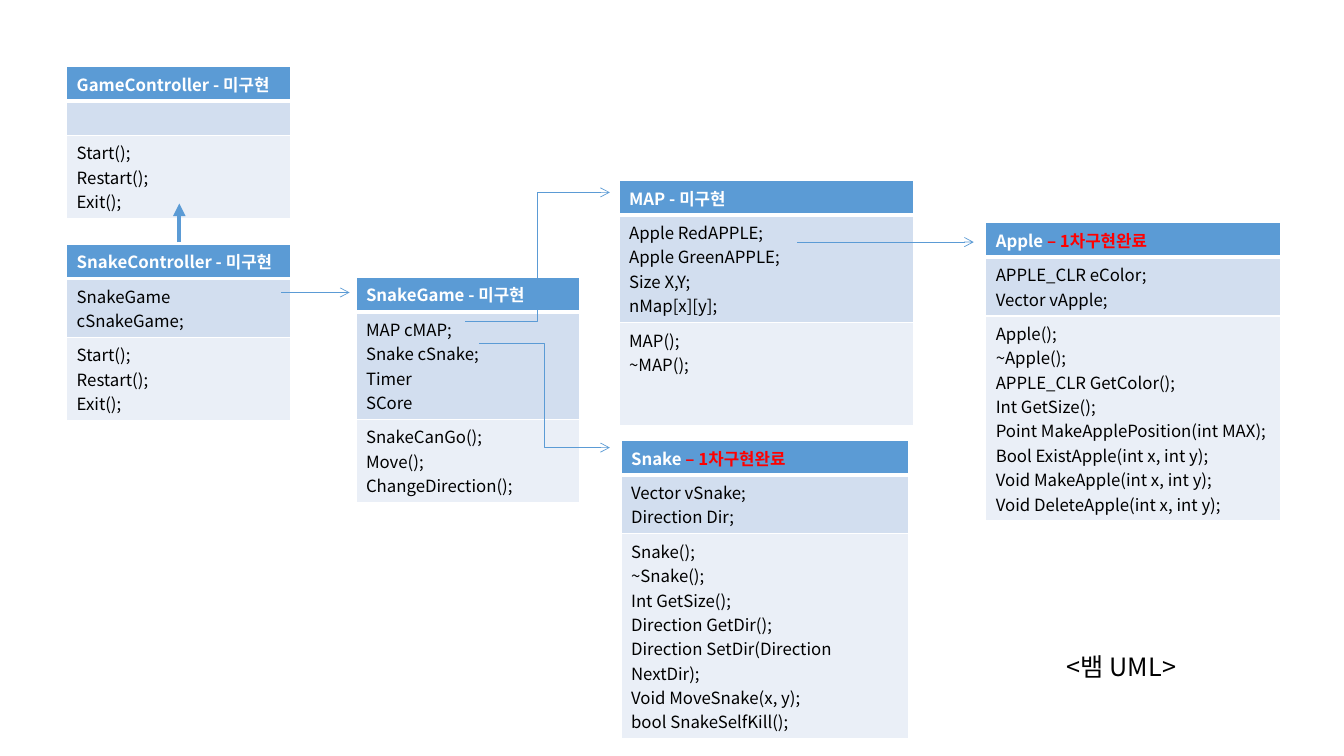
from lxml import etree
from pptx import Presentation
from pptx.dml.color import RGBColor
from pptx.enum.shapes import MSO_CONNECTOR
from pptx.oxml.ns import qn
from pptx.util import Cm, Pt

STRAIGHT = MSO_CONNECTOR.STRAIGHT
ELBOW = MSO_CONNECTOR.ELBOW
FONT = "Noto Sans CJK KR"
BLUE = RGBColor(0x5B, 0x9B, 0xD5)
PALE = RGBColor(0xD2, 0xDE, 0xEF)
PALER = RGBColor(0xEA, 0xEF, 0xF7)
WHITE = RGBColor(0xFF, 0xFF, 0xFF)
BLACK = RGBColor(0, 0, 0)
RED = RGBColor(0xFF, 0, 0)

TODO = [" - 미구현", WHITE]
DONE = [" – 1차구현완료", RED]
CONTROL = ["Start();", "Restart();", "Exit();"]

CLASSES = [
    ("Snake", DONE, 15.65, 11.1, 7.24, 0,
     ["Vector vSnake;", "Direction Dir;"],
     ["Snake();", "~Snake();", "Int GetSize();", "Direction GetDir();",
      "Direction SetDir(Direction NextDir);", "Void MoveSnake(x, y);",
      "bool SnakeSelfKill();"]),
    ("Apple", DONE, 24.84, 5.61, 7.42, 0,
     ["APPLE_CLR eColor;", "Vector vApple;"],
     ["Apple();", "~Apple();", "APPLE_CLR GetColor();", "Int GetSize();",
      "Point MakeApplePosition(int MAX);", "Bool ExistApple(int x, int y);",
      "Void MakeApple(int x, int y);", "Void DeleteApple(int x, int y);"]),
    ("MAP", TODO, 15.6, 4.55, 7.42, 2.59,
     ["Apple RedAPPLE;", "Apple GreenAPPLE;", "Size X,Y;", "nMap[x][y];"],
     ["MAP();", "~MAP();"]),
    ("GameController", TODO, 1.68, 1.68, 5.64, 0, [], CONTROL),
    ("SnakeController", TODO, 1.68, 6.15, 5.64, 0,
     ["SnakeGame cSnakeGame;"], CONTROL),
    ("SnakeGame", TODO, 8.97, 6.99, 5.64, 0,
     ["MAP cMAP;", "Snake cSnake;", "Timer", "SCore"],
     ["SnakeCanGo();", "Move();", "ChangeDirection();"]),
]

ARROWS = [
    (STRAIGHT, 4.52, 6.1, 4.52, 5.13, 3, "triangle"),
    (STRAIGHT, 7.09, 7.37, 8.81, 7.37, 0.5, "arrow"),
    (ELBOW, 11.73, 8.1, 15.37, 4.85, 0.5, "arrow"),
    (ELBOW, 12.07, 8.66, 15.37, 11.28, 0.5, "arrow"),
    (STRAIGHT, 20.09, 6.1, 24.54, 6.1, 0.5, "arrow"),
]


def add_run(p, text, color, size=12, bold=False):
    r = p.add_run()
    r.text = text
    r.font.size = Pt(size)
    r.font.bold = bold
    r.font.color.rgb = color
    r.font.name = FONT
    etree.SubElement(r.font._element, qn("a:ea"), typeface=FONT)


def add_lines(tf, lines):
    for i, line in enumerate(lines):
        p = tf.paragraphs[0] if i == 0 else tf.add_paragraph()
        add_run(p, line, BLACK)
    if not lines:
        etree.SubElement(tf.paragraphs[0]._p, qn("a:endParaRPr"), sz="1200")


def set_borders(cell, widths):
    tcPr = cell._tc.get_or_add_tcPr()
    for i, (side, width) in enumerate(widths.items()):
        ln = etree.Element(qn("a:ln" + side), w=str(Pt(width)))
        fill = etree.SubElement(ln, qn("a:solidFill"))
        etree.SubElement(fill, qn("a:srgbClr"), val=str(WHITE))
        tcPr.insert(i, ln)


def row_height(lines):
    return 0.25 + 0.61 * max(lines, 1)


def add_class(s, name, status, x, y, w, min_height, fields, methods):
    heights = [row_height(1), row_height(len(fields)),
               max(row_height(len(methods)), min_height)]
    table = s.shapes.add_table(3, 1, Cm(x), Cm(y), Cm(w), Cm(sum(heights))).table
    table.columns[0].width = Cm(w)
    header, attributes, operations = cells = [table.cell(i, 0) for i in range(3)]
    for row, height in zip(table.rows, heights):
        row.height = Cm(height)
    for cell, color in zip(cells, (BLUE, PALE, PALER)):
        cell.fill.solid()
        cell.fill.fore_color.rgb = color
    set_borders(header, {"L": 1, "R": 1, "T": 1, "B": 3})
    for cell in (attributes, operations):
        set_borders(cell, {"L": 1, "R": 1, "B": 1})
    p = header.text_frame.paragraphs[0]
    add_run(p, name, WHITE, bold=True)
    add_run(p, *status, bold=True)
    add_lines(attributes.text_frame, fields)
    add_lines(operations.text_frame, methods)


def add_arrow(s, kind, x1, y1, x2, y2, width, head):
    c = s.shapes.add_connector(kind, Cm(x1), Cm(y1), Cm(x2), Cm(y2))
    c.line.color.rgb = BLUE
    c.line.width = Pt(width)
    etree.SubElement(c.line._get_or_add_ln(), qn("a:tailEnd"), type=head)
    etree.SubElement(c._element.spPr, qn("a:effectLst"))


def add_caption(s, text, x, y, w, h):
    tf = s.shapes.add_textbox(Cm(x), Cm(y), Cm(w), Cm(h)).text_frame
    tf.word_wrap = False
    add_run(tf.paragraphs[0], text, BLACK, size=18)


def main():
    prs = Presentation()
    prs.slide_width, prs.slide_height = Cm(33.87), Cm(19.05)
    s = prs.slides.add_slide(prs.slide_layouts[6])
    for item in CLASSES:
        add_class(s, *item)
    for item in ARROWS:
        add_arrow(s, *item)
    add_caption(s, "<뱀 UML>", 26.64, 16.28, 3.63, 1.02)
    prs.save("out.pptx")


main()
